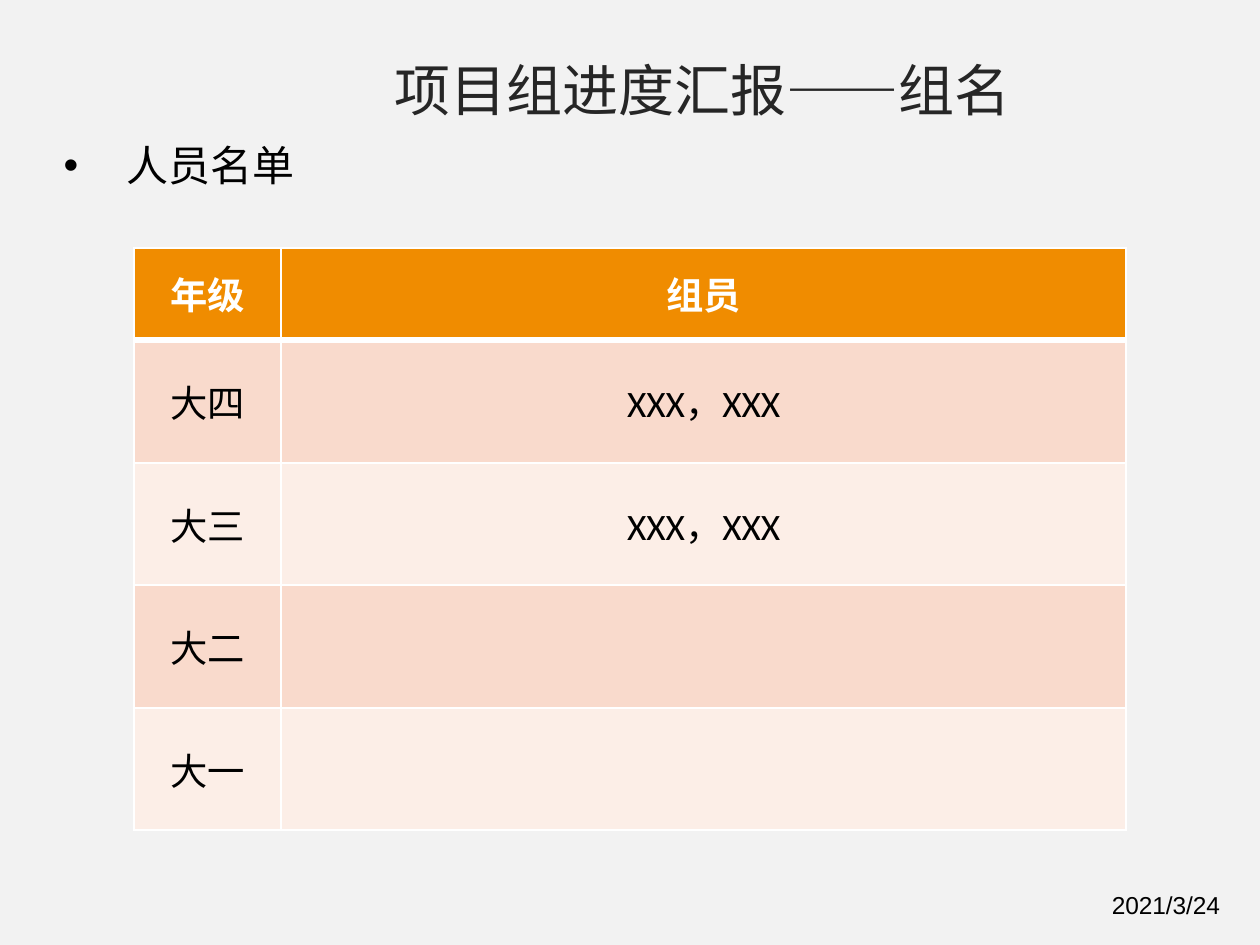
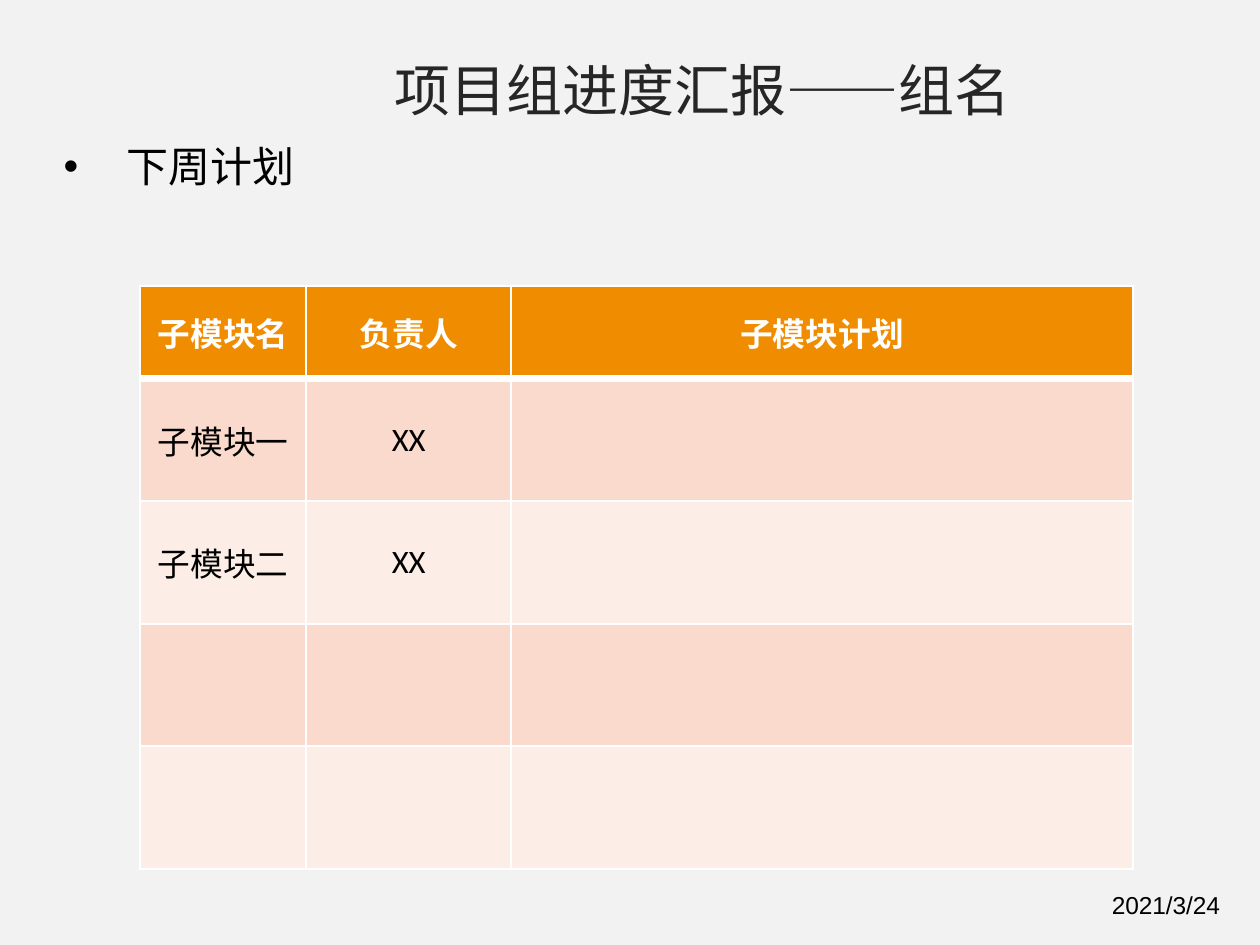
"""Builds the two-slide progress report of a project group."""
from dataclasses import dataclass

from lxml import etree
from pptx import Presentation
from pptx.dml.color import RGBColor
from pptx.enum.text import MSO_ANCHOR, MSO_AUTO_SIZE, PP_ALIGN
from pptx.oxml.ns import qn
from pptx.slide import Slide
from pptx.table import _Cell
from pptx.text.text import _Paragraph
from pptx.util import Pt

CENTER = PP_ALIGN.CENTER
MIDDLE = MSO_ANCHOR.MIDDLE
GROW = MSO_AUTO_SIZE.SHAPE_TO_FIT_TEXT
FIXED = MSO_AUTO_SIZE.NONE

PAPER, INK, TITLE_INK, WHITE = "F2F2F2", "000000", "262626", "FFFFFF"
HEADER_FILL = "F08C00"
BAND_FILLS = ("F9DACC", "FCEEE7")
CHINESE_FONT = "Noto Sans CJK SC"
HEADER_HEIGHT, ROW_HEIGHT = 39.6, 52.56
THIN, THICK = 1, 3


@dataclass(frozen=True)
class TextStyle:
    """Font, size and colour of a span."""
    font: str
    size: float
    color: str
    bold: bool = False


@dataclass(frozen=True)
class Label:
    """A text box with its place and behaviour."""
    text: str
    left: float
    top: float
    width: float
    height: float
    style: TextStyle
    wrap: bool = True
    grow: bool = True
    bullet_indent: float = 0


@dataclass(frozen=True)
class Grid:
    """A table with its place, column widths and rows of text."""
    left: float
    top: float
    size: float
    columns: tuple[float, ...]
    rows: tuple[tuple[str, ...], ...]


@dataclass(frozen=True)
class Report:
    """The content of one slide."""
    heading: str
    heading_top: float
    grid: Grid


HEADING_STYLE = TextStyle(CHINESE_FONT, 18, INK)
TITLE = Label("项目组进度汇报——组名", 162, 20.16, 285.12, 36,
              TextStyle(CHINESE_FONT, 24, TITLE_INK), wrap=False)
DATE = Label("2021/3/24", 469.44, 378, 69.84, 20.16, TextStyle("Arial", 10.5, INK))

REPORTS = (
    Report("人员名单", 56.16, Grid(57.5, 106.1, 16, (63, 362.2), (
        ("年级", "组员"),
        ("大四", "XXX，XXX"),
        ("大三", "XXX，XXX"),
        ("大二", ""),
        ("大一", ""),
    ))),
    Report("下周计划", 56.6, Grid(60.2, 122.6, 14, (71, 88, 266.4), (
        ("子模块名", "负责人", "子模块计划"),
        ("子模块一", "XX", ""),
        ("子模块二", "XX", ""),
        ("", "", ""),
        ("", "", ""),
    ))),
)


def color_of(value: str) -> RGBColor:
    """Turn a hex string into a colour."""
    return RGBColor.from_string(value)


def add_span(para: _Paragraph, text: str, style: TextStyle) -> None:
    """Add one styled run to a paragraph."""
    span = para.add_run()
    span.text = text
    span.font.name = style.font
    span.font.size = Pt(style.size)
    span.font.bold = style.bold
    span.font.color.rgb = color_of(style.color)
    east_asian = etree.SubElement(span.font._element, qn("a:ea"))
    east_asian.set("typeface", CHINESE_FONT)


def add_bullet(para: _Paragraph, indent: float) -> None:
    """Give a paragraph a hanging round bullet."""
    properties = para._p.get_or_add_pPr()
    properties.set("marL", str(Pt(indent)))
    properties.set("indent", str(-Pt(indent)))
    etree.SubElement(properties, qn("a:buFont")).set("typeface", "Arial")
    etree.SubElement(properties, qn("a:buChar")).set("char", "•")


def add_label(page: Slide, label: Label) -> None:
    """Draw a text box."""
    box = page.shapes.add_textbox(Pt(label.left), Pt(label.top), Pt(label.width), Pt(label.height))
    frame = box.text_frame
    frame.word_wrap = label.wrap
    frame.auto_size = GROW if label.grow else FIXED
    para = frame.paragraphs[0]
    if label.bullet_indent:
        add_bullet(para, label.bullet_indent)
    add_span(para, label.text, label.style)


def add_border(cell: _Cell, side: str, width: float) -> None:
    """Draw a white border on one side of a cell."""
    line = etree.SubElement(cell._tc.get_or_add_tcPr(), qn(f"a:ln{side}"), w=str(Pt(width)))
    fill = etree.SubElement(line, qn("a:solidFill"))
    etree.SubElement(fill, qn("a:srgbClr"), val=WHITE)


def fill_cell(cell: _Cell, text: str, row: int, size: float) -> None:
    """Set the borders, fill and text of a cell."""
    is_header = row == 0
    add_border(cell, "L", THIN)
    add_border(cell, "R", THIN)
    add_border(cell, "T", THICK if row == 1 else THIN)
    add_border(cell, "B", THICK if is_header else THIN)
    cell.fill.solid()
    cell.fill.fore_color.rgb = color_of(HEADER_FILL if is_header else BAND_FILLS[(row - 1) % 2])
    cell.margin_left = cell.margin_right = Pt(5)
    cell.margin_top = cell.margin_bottom = Pt(2.9)
    cell.vertical_anchor = MIDDLE
    para = cell.text_frame.paragraphs[0]
    para.alignment = CENTER
    if text:
        add_span(para, text, TextStyle("Calibri", size, WHITE if is_header else INK, is_header))


def add_grid(page: Slide, grid: Grid) -> None:
    """Draw a table with a header and banded rows."""
    heights = [HEADER_HEIGHT] + [ROW_HEIGHT] * (len(grid.rows) - 1)
    table = page.shapes.add_table(len(grid.rows), len(grid.columns), Pt(grid.left), Pt(grid.top),
                                  Pt(sum(grid.columns)), Pt(sum(heights))).table
    table.first_row = table.horz_banding = False
    for column, width in zip(table.columns, grid.columns):
        column.width = Pt(width)
    for row, (texts, height) in enumerate(zip(grid.rows, heights)):
        table.rows[row].height = Pt(height)
        for column, text in enumerate(texts):
            fill_cell(table.cell(row, column), text, row, grid.size)


def main() -> None:
    """Build and save the deck."""
    deck = Presentation()
    deck.slide_width, deck.slide_height = Pt(540), Pt(405)
    backdrop = deck.slide_master.background.fill
    backdrop.solid()
    backdrop.fore_color.rgb = color_of(PAPER)
    for report in REPORTS:
        page = deck.slides.add_slide(deck.slide_layouts[6])
        add_label(page, TITLE)
        add_label(page, Label(report.heading, 20.16, report.heading_top, 147.6, 35.28,
                              HEADING_STYLE, grow=False, bullet_indent=27))
        add_grid(page, report.grid)
        add_label(page, DATE)
    deck.save("out.pptx")


main()
